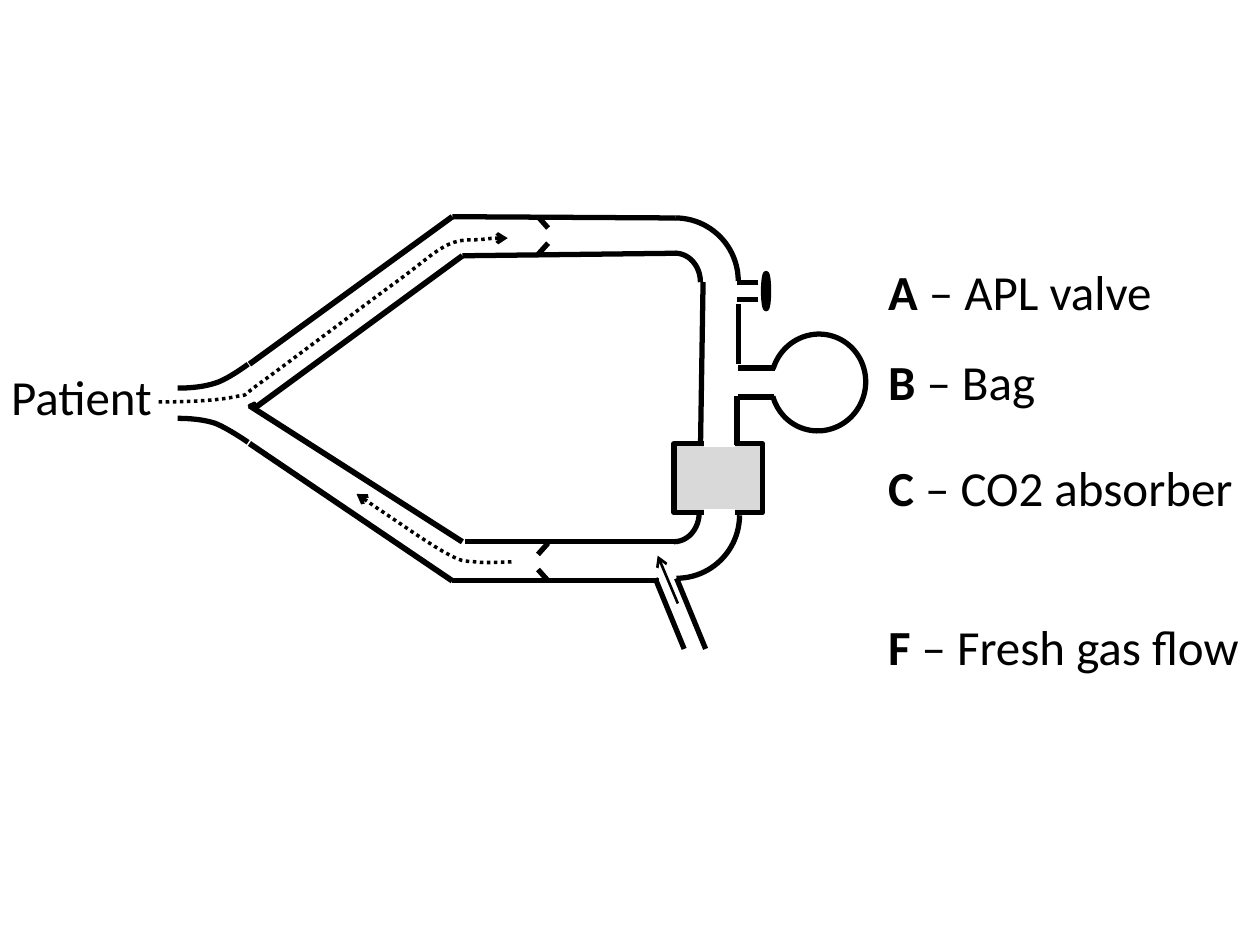
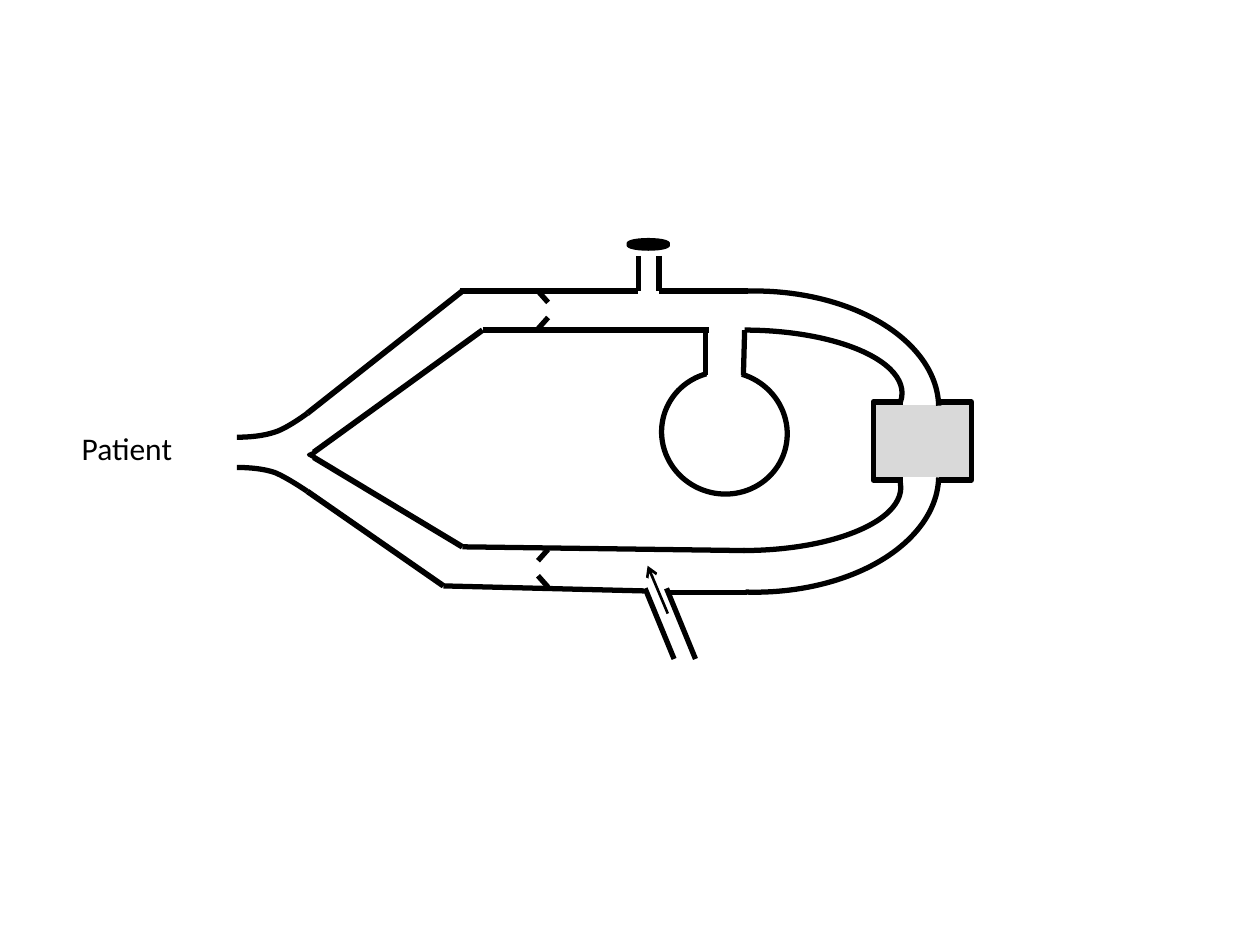
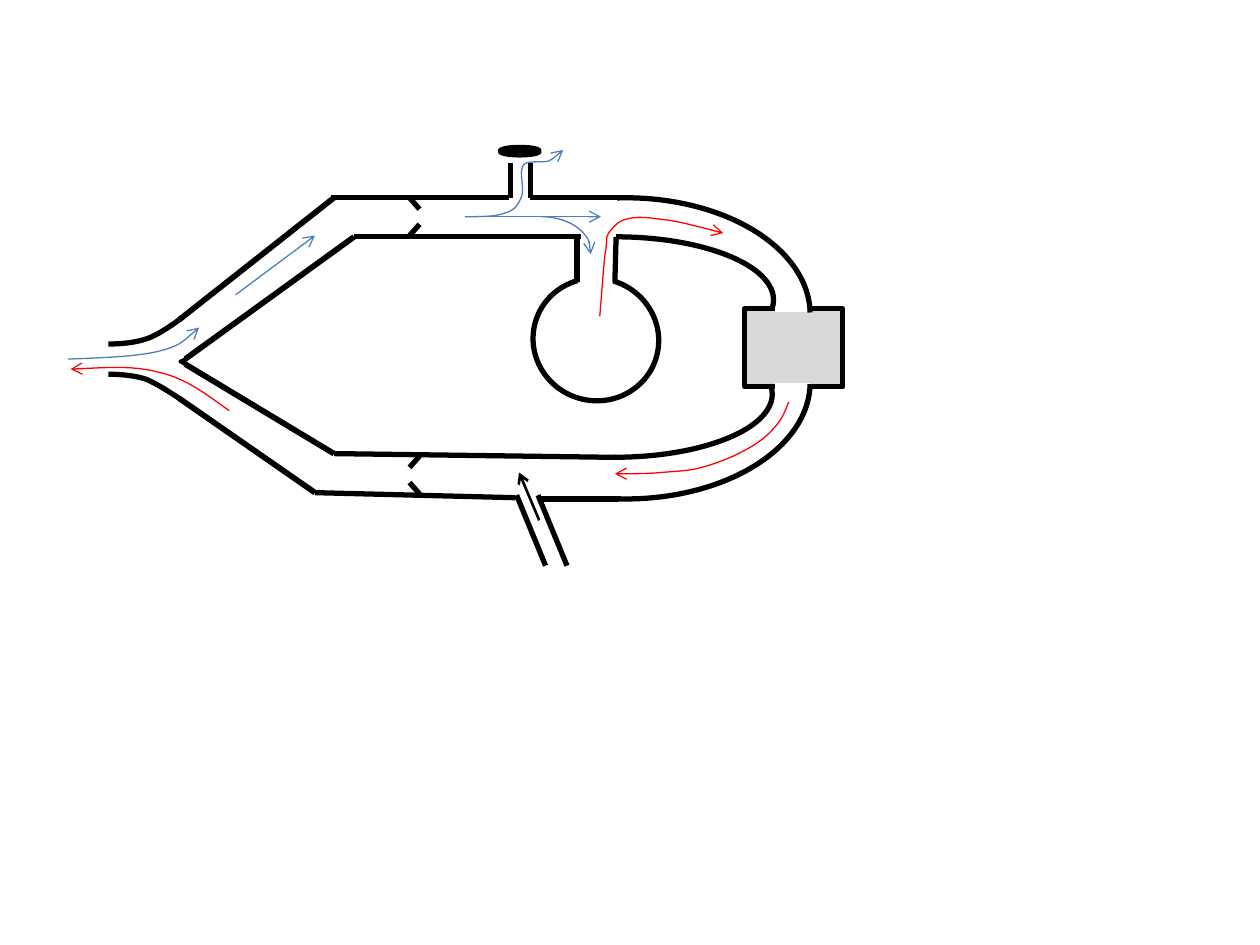
from dataclasses import dataclass, replace

from lxml.etree import SubElement
from pptx import Presentation
from pptx.dml.color import RGBColor
from pptx.enum.dml import MSO_LINE
from pptx.enum.shapes import MSO_CONNECTOR, MSO_SHAPE
from pptx.enum.text import MSO_AUTO_SIZE
from pptx.oxml.ns import qn
from pptx.util import Pt

PX = 9144  # EMU per px, 100 px to the inch
FONT = "Calibri"
COLORS = {"ink": "000000", "paper": "FFFFFF", "absorber": "D9D9D9",
          "exhaled": "4B7EBC", "inhaled": "FF0000"}
WALL, LIMB, TIP, GAP, THIN = 3, 3.25, 2, 4, 0.75

# Parts that every circuit shares, relative to their own corner
MOUTH_CURVES = [
    [(0, 19), (10, 19), (21, 18), (30, 15), (40, 12), (56, 0), (56, 0)],
    [(0, 43), (10, 43), (21, 44), (30, 47), (40, 51), (56, 62), (56, 62)],
]
MOUTH_TIP = (57, 31, 4, 4)
INLET_WALLS = [(23, 56, 0, 0), (40, 56, 17, 0)]
INLET_ARROW = (18, 20, 2, -18)

# Lines are (x1, y1, x2, y2), boxes are (left, top, width, height),
# arcs are (box, adjustments, flipped)
QUARTER = (162, 0)
BAG_ARC = (162, 141.658)
INNER_BEND, OUTER_BEND = (162, 2.108), (159.299, 215.65)

LABELLED = {
    "valve": {"walls": [(602, 224, 585, 224), (602, 238, 585, 238)],
              "disc": (594, 229, 28, 4), "rotation": 90},
    "check_valves": [(427, 435, 172), (435, 427, 431)],
    "bag": {"box": (611, 266, 77, 75), "rotation": 286.8,
            "neck": [(586, 315, 614, 315), (586, 292, 615, 292)]},
    "absorber": {"box": (535, 352, 70, 55), "port": (559, 583)},
    "inlet": (520, 459),
    "mouth": (141, 289),
    "limbs": [(198, 289, 359, 172), (202, 324, 367, 203),
              (198, 322, 367, 430), (198, 352, 359, 461)],
    "tubes": [(359, 172, 536, 173), (367, 203, 537, 201), (369, 430, 539, 430),
              (359, 461, 523, 461), (556, 352, 558, 224), (586, 289, 586, 241),
              (585, 353, 585, 314)],
    "bends": [((486, 173, 100, 100), QUARTER, False),
              ((516, 201, 40, 46), QUARTER, False),
              ((487, 359, 100, 100), QUARTER, True),
              ((515, 384, 40, 46), QUARTER, True)],
}

ROUNDED = {
    "valve": {"walls": [(507, 203, 507, 231), (523, 203, 523, 231)],
              "disc": (499, 191, 31, 6), "rotation": 0},
    "check_valves": [(427, 435, 231), (435, 427, 436)],
    "bag": {"box": (525, 295, 100, 97), "rotation": 16.8,
            "neck": [(560, 262, 560, 298), (591, 262, 590, 298)]},
    "absorber": {"box": (693, 319, 78, 62), "port": (717, 745)},
    "inlet": (512, 467),
    "mouth": (188, 328),
    "limbs": [(244, 328, 367, 231), (249, 359, 383, 262),
              (249, 363, 367, 434), (244, 390, 352, 465)],
    "tubes": [(365, 231, 506, 231), (383, 262, 563, 262), (523, 231, 594, 231),
              (367, 434, 591, 437), (530, 470, 593, 470), (352, 465, 511, 469)],
    "bends": [((466, 262, 250, 100), INNER_BEND, False),
              ((453, 231, 292, 185), OUTER_BEND, False),
              ((465, 337, 250, 100), INNER_BEND, True),
              ((453, 285, 292, 185), OUTER_BEND, True)],
}
FLOW_CIRCUIT_OFFSET = (-102, -74)

PATIENT = "Patient"
LEGEND = [  # letter, meaning, top, width
    ("A", " – APL valve", 203, 281),
    ("B", " – Bag", 274, 250),
    ("C", " – CO2 absorber", 358, 305),
    ("F", " – Fresh gas flow", 484, 305),
]
LEGEND_LEFT, LEGEND_SIZE = 695, 28

DOTTED_PATHS = [
    [(126, 319), (149, 319), (172, 318), (186, 315), (200, 312), (187, 318),
     (208, 303), (230, 287), (292, 240), (317, 222), (341, 204), (344, 200),
     (356, 194), (367, 189), (375, 191), (383, 190), (391, 189), (397, 189),
     (403, 189)],
    [(406, 446), (397, 446), (387, 447), (378, 446), (370, 445), (369, 447),
     (356, 440), (344, 434), (317, 415), (305, 407), (293, 399), (288, 395),
     (283, 392)],
]

FLOW_CURVES = [
    ("exhaled", [(54, 285), (81, 284), (108, 283), (125, 279), (142, 275),
                 (150, 267), (158, 260)]),
    ("inhaled", [(182, 326), (165, 314), (149, 301), (128, 296), (107, 290),
                 (81, 292), (56, 293)]),
    ("exhaled", [(369, 172), (382, 172), (394, 172), (401, 169), (409, 167),
                 (412, 161), (414, 156), (416, 150), (413, 139), (414, 135),
                 (415, 130), (416, 130), (419, 129), (423, 128), (430, 129),
                 (435, 128), (439, 126), (443, 123), (447, 119)]),
    ("inhaled", [(476, 251), (478, 230), (479, 208), (481, 197), (482, 186),
                 (481, 189), (483, 185), (486, 181), (491, 175), (497, 174),
                 (504, 172), (511, 172), (524, 174), (536, 175), (555, 180),
                 (574, 185)]),
    ("inhaled", [(626, 319), (623, 327), (620, 334), (614, 340), (608, 347),
                 (600, 353), (590, 358), (581, 363), (568, 368), (557, 371),
                 (546, 374), (536, 374), (525, 375), (514, 376), (497, 376),
                 (488, 376)]),
]
FLOW_LINES = [(369, 172, 477, 172), (187, 234, 250, 187)]
FLOW_TO_BAG = ((391, 172, 78, 55), (162, 1.998))


def style_line(line, color, width, arrow=False, dotted=False):
    line.color.rgb = RGBColor.from_string(COLORS[color])
    line.width = Pt(width)
    if dotted:
        line.dash_style = MSO_LINE.ROUND_DOT
    if arrow:
        ln = line._get_or_add_ln()
        SubElement(ln, qn("a:tailEnd")).set("type", "arrow")


@dataclass
class Pen:
    """Draws on a slide or group, moved by an offset in px."""
    shapes: object
    dx: int = 0
    dy: int = 0

    def group(self, dx=0, dy=0):
        g = self.shapes.add_group_shape()
        return replace(self, shapes=g.shapes, dx=self.dx + dx, dy=self.dy + dy)

    def at(self, x, y):
        return (x + self.dx) * PX, (y + self.dy) * PX

    def line(self, ends, color="ink", width=WALL, arrow=False):
        c = self.shapes.add_connector(MSO_CONNECTOR.STRAIGHT,
                                      *self.at(*ends[:2]), *self.at(*ends[2:]))
        style_line(c.line, color, width, arrow)
        SubElement(c._element.spPr, qn("a:effectLst"))

    def lines(self, all_ends, width=WALL):
        for ends in all_ends:
            self.line(ends, width=width)

    def shape(self, kind, box, fill=None, rotation=0, color="ink",
              width=WALL, arrow=False):
        x, y, w, h = box
        sp = self.shapes.add_shape(kind, *self.at(x, y), w * PX, h * PX)
        sp.rotation = rotation
        self.finish(sp, fill, color, width, arrow)
        return sp

    def finish(self, sp, fill, color, width, arrow=False, dotted=False):
        sp.shadow.inherit = False
        if fill:
            sp.fill.solid()
            sp.fill.fore_color.rgb = RGBColor.from_string(COLORS[fill])
        else:
            sp.fill.background()
        style_line(sp.line, color, width, arrow, dotted)

    def arc(self, box, angles, flipped=False, **style):
        sp = self.shape(MSO_SHAPE.ARC, box, **style)
        for i, angle in enumerate(angles):
            sp.adjustments[i] = angle
        if flipped:
            sp._element.spPr.find(qn("a:xfrm")).set("flipV", "1")

    def curve(self, points, color="ink", width=WALL, arrow=False, dotted=False):
        start, *rest = [self.at(*point) for point in points]
        fb = self.shapes.build_freeform(*start)
        fb.add_line_segments(rest, close=False)
        sp = fb.convert_to_shape()
        # Every three points after the start make one Bézier segment
        path = next(sp._element.iter(qn("a:path")))
        steps = path.findall(qn("a:lnTo"))
        for i in range(0, len(steps), 3):
            bezier = SubElement(path, qn("a:cubicBezTo"))
            for step in steps[i:i + 3]:
                bezier.append(step[0])
                path.remove(step)
        self.finish(sp, None, color, width, arrow, dotted)


def add_text(s, runs, left, top, width, height, size):
    tb = s.shapes.add_textbox(left * PX, top * PX, width * PX, height * PX)
    tf = tb.text_frame
    tf.word_wrap = True
    tf.auto_size = MSO_AUTO_SIZE.SHAPE_TO_FIT_TEXT
    for text, bold in runs:
        r = tf.paragraphs[0].add_run()
        r.text = text
        r.font.name, r.font.size, r.font.bold = FONT, Pt(size), bold
        r.font.color.rgb = RGBColor.from_string(COLORS["ink"])


def draw_circuit(pen, circuit):
    # Pressure-limiting valve
    valve, g = circuit["valve"], pen.group()
    g.lines(valve["walls"])
    g.shape(MSO_SHAPE.OVAL, valve["disc"], "ink", valve["rotation"])

    # One-way valves
    for wall, tip, top in circuit["check_valves"]:
        pen.group().lines([(wall, top + 30, tip, top + 21),
                           (tip, top + 9, wall, top)])

    # Bag
    bag, g = circuit["bag"], pen.group()
    g.arc(bag["box"], BAG_ARC, rotation=bag["rotation"])
    g.lines(bag["neck"])

    # Absorber, opened at top and bottom
    absorber, g = circuit["absorber"], pen.group()
    g.shape(MSO_SHAPE.RECTANGLE, absorber["box"], "absorber")
    left, right = absorber["port"]
    _, top, _, height = absorber["box"]
    for y in (top + height, top):
        g.line((right, y, left, y), "paper", GAP)

    # Fresh gas inlet
    g = pen.group(*circuit["inlet"])
    g.lines(INLET_WALLS)
    g.line(INLET_ARROW, width=1.5, arrow=True)

    # Patient end
    pen.lines(circuit["limbs"], LIMB)
    g = pen.group(*circuit["mouth"])
    for points in MOUTH_CURVES:
        g.curve(points)
    g.shape(MSO_SHAPE.ISOSCELES_TRIANGLE, MOUTH_TIP, "ink", 272, width=TIP)

    # Tubing
    pen.lines(circuit["tubes"])
    for bend in circuit["bends"]:
        pen.arc(*bend)


def main():
    prs = Presentation()
    prs.slide_width, prs.slide_height = 1000 * PX, 750 * PX
    blank = prs.slide_layouts[6]

    # Labelled circuit
    s = prs.slides.add_slide(blank)
    pen = Pen(s.shapes)
    draw_circuit(pen, LABELLED)
    add_text(s, [(PATIENT, False)], -1, 286, 149, 57, LEGEND_SIZE)
    for points in DOTTED_PATHS:
        pen.curve(points, width=2, arrow=True, dotted=True)
    for letter, meaning, top, width in LEGEND:
        add_text(s, [(letter, True), (meaning, False)],
                 LEGEND_LEFT, top, width, 57, LEGEND_SIZE)

    # Rounded circuit
    s = prs.slides.add_slide(blank)
    draw_circuit(Pen(s.shapes), ROUNDED)
    add_text(s, [(PATIENT, False)], 55, 336, 125, 40, 18)

    # Rounded circuit with gas flows
    s = prs.slides.add_slide(blank)
    draw_circuit(Pen(s.shapes, *FLOW_CIRCUIT_OFFSET), ROUNDED)
    pen = Pen(s.shapes)
    for color, points in FLOW_CURVES:
        pen.curve(points, color, THIN, arrow=True)
    for ends in FLOW_LINES:
        pen.line(ends, "exhaled", THIN, arrow=True)
    pen.arc(*FLOW_TO_BAG, color="exhaled", width=THIN, arrow=True)

    prs.save("out.pptx")


if __name__ == "__main__":
    main()
